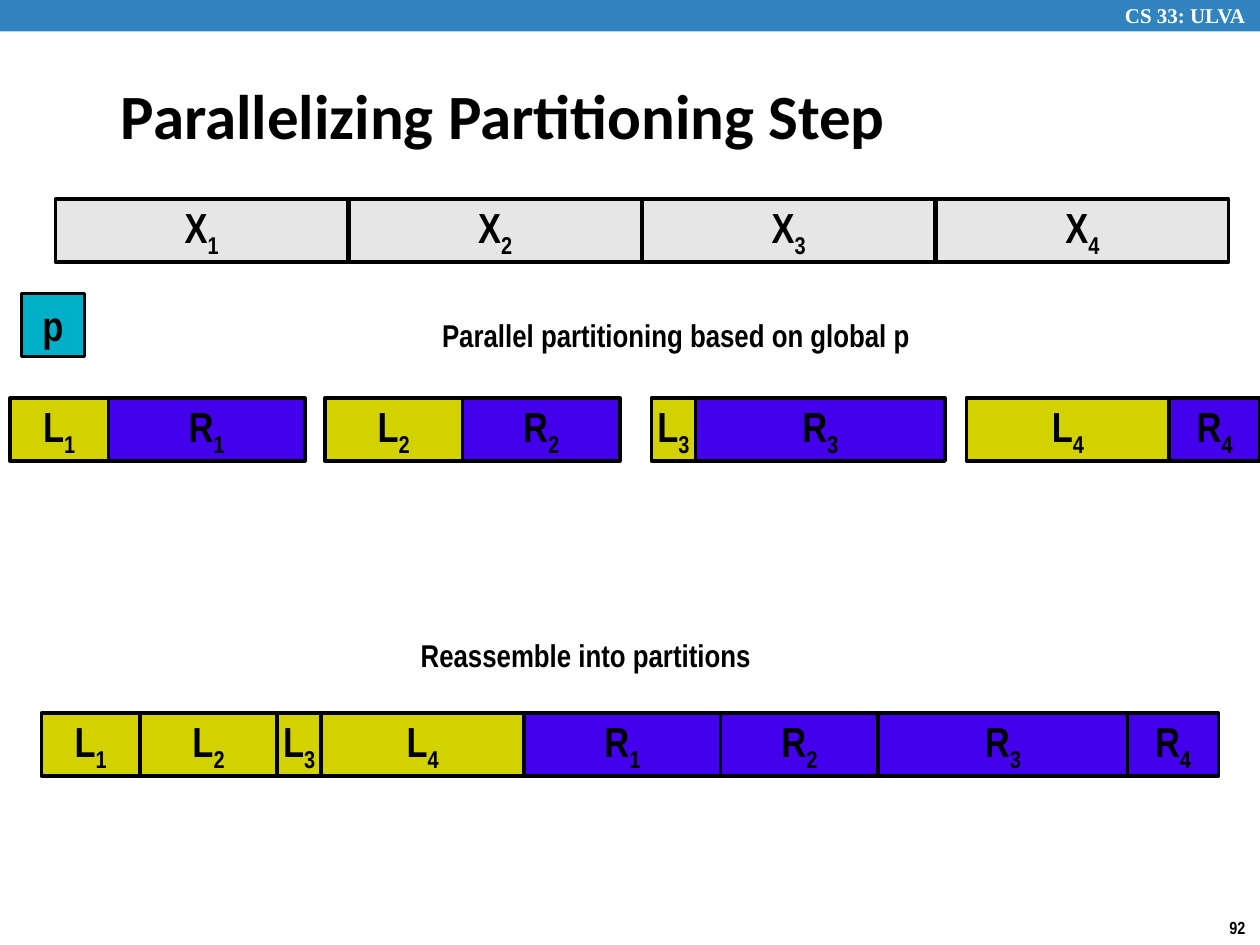
from dataclasses import dataclass

from pptx import Presentation
from pptx.dml.color import RGBColor
from pptx.enum.shapes import MSO_SHAPE as Shape
from pptx.enum.text import MSO_ANCHOR as Anchor, MSO_AUTO_SIZE as AutoSize, PP_ALIGN as Align
from pptx.util import Inches, Pt


@dataclass(frozen=True)
class Theme:
    """Colours, fonts and type sizes of the slide."""
    bar: str = "3284BF"
    white: str = "FFFFFF"
    black: str = "000000"
    source: str = "E6E6E6"
    pivot: str = "00B0C8"
    left: str = "D2D200"
    right: str = "4300EA"
    title_font: str = "Calibri"
    body_font: str = "Arial Narrow"
    header_font: str = "Times New Roman"
    title_size: int = 36
    block_size: int = 24
    caption_size: int = 18
    header_size: int = 12
    number_size: int = 10


THEME = Theme()
BLOCK_HEIGHT = 0.5
LEFT_WIDTHS = [0.78, 1.09, 0.35, 1.61]
RIGHT_WIDTHS = [1.56, 1.25, 1.98, 0.72]
CHUNK_STARTS = [0.08, 2.58, 5.17, 7.67]


def style(paragraph, size, font=THEME.body_font, color=THEME.black):
    """Give a paragraph its bold font."""
    paragraph.font.name = font
    paragraph.font.size = Pt(size)
    paragraph.font.bold = True
    paragraph.font.color.rgb = RGBColor.from_string(color)


def add_rectangle(slide, left, top, width, height, fill):
    """Add a flat rectangle without an outline."""
    shape = slide.shapes.add_shape(
        Shape.RECTANGLE, Inches(left), Inches(top), Inches(width), Inches(height))
    shape.shadow.inherit = False
    shape.fill.solid()
    shape.fill.fore_color.rgb = RGBColor.from_string(fill)
    shape.line.fill.background()
    return shape


def add_block(slide, left, top, width, fill, letter, index=""):
    """Add an outlined array block labelled with a letter and a subscript."""
    shape = add_rectangle(slide, left, top, width, BLOCK_HEIGHT, fill)
    shape.line.color.rgb = RGBColor.from_string(THEME.black)
    shape.line.width = Pt(2)
    frame = shape.text_frame
    frame.word_wrap = False
    frame.vertical_anchor = Anchor.MIDDLE
    paragraph = frame.paragraphs[0]
    paragraph.alignment = Align.CENTER
    style(paragraph, THEME.block_size)
    paragraph.add_run().text = letter
    if index:
        subscript = paragraph.add_run()
        subscript.text = str(index)
        subscript.font._element.set("baseline", "-25000")


def add_text(slide, left, top, width, height, text, size, **font):
    """Add a one-line text box."""
    box = slide.shapes.add_textbox(Inches(left), Inches(top), Inches(width), Inches(height))
    box.text_frame.word_wrap = True
    box.text_frame.text = text
    style(box.text_frame.paragraphs[0], size, **font)


def add_title(slide, text):
    """Place and format the title placeholder."""
    title = slide.shapes.title
    title.left, title.top, title.width, title.height = map(Inches, (0.86, 0.49, 8.3, 0.83))
    frame = title.text_frame
    frame.text = text
    frame.auto_size = AutoSize.NONE
    frame.vertical_anchor = Anchor.MIDDLE
    paragraph = frame.paragraphs[0]
    paragraph.alignment = Align.LEFT
    style(paragraph, THEME.title_size, THEME.title_font)


def add_source_row(slide):
    """Add the four equal chunks of the input array."""
    for index in range(4):
        add_block(slide, 0.44 + 2.33 * index, 1.58, 2.32, THEME.source, "X", index + 1)


def add_partitioned_row(slide):
    """Add each chunk split into its left and right part."""
    chunks = zip(CHUNK_STARTS, LEFT_WIDTHS, RIGHT_WIDTHS)
    for index, (start, left_width, right_width) in enumerate(chunks, 1):
        add_block(slide, start, 3.16, left_width, THEME.left, "L", index)
        add_block(slide, start + left_width, 3.16, right_width, THEME.right, "R", index)


def add_reassembled_row(slide):
    """Add all left parts, then all right parts, end to end."""
    position = 0.33
    groups = [("L", THEME.left, LEFT_WIDTHS), ("R", THEME.right, RIGHT_WIDTHS)]
    for letter, fill, widths in groups:
        for index, width in enumerate(widths, 1):
            add_block(slide, position, 5.66, width, fill, letter, index)
            position += width


def main():
    """Build and save the slide."""
    presentation = Presentation()
    presentation.slide_width = Inches(10)
    presentation.slide_height = Inches(7.5)
    slide = presentation.slides.add_slide(presentation.slide_layouts[5])

    add_rectangle(slide, 0, 0, 10, 0.25, THEME.bar)
    add_text(slide, 8.83, -0.03, 1.24, 0.3, "CS 33: ULVA", THEME.header_size,
             font=THEME.header_font, color=THEME.white)
    add_text(slide, 9.66, 7.23, 0.34, 0.27, "92", THEME.number_size)
    add_title(slide, "Parallelizing Partitioning Step")

    add_source_row(slide)
    add_block(slide, 0.17, 2.33, 0.5, THEME.pivot, "p")
    add_text(slide, 3.41, 2.46, 4.18, 0.4, "Parallel partitioning based on global p",
             THEME.caption_size)
    add_partitioned_row(slide)
    add_text(slide, 3.24, 5, 3.01, 0.4, "Reassemble into partitions", THEME.caption_size)
    add_reassembled_row(slide)

    presentation.save("out.pptx")


main()
